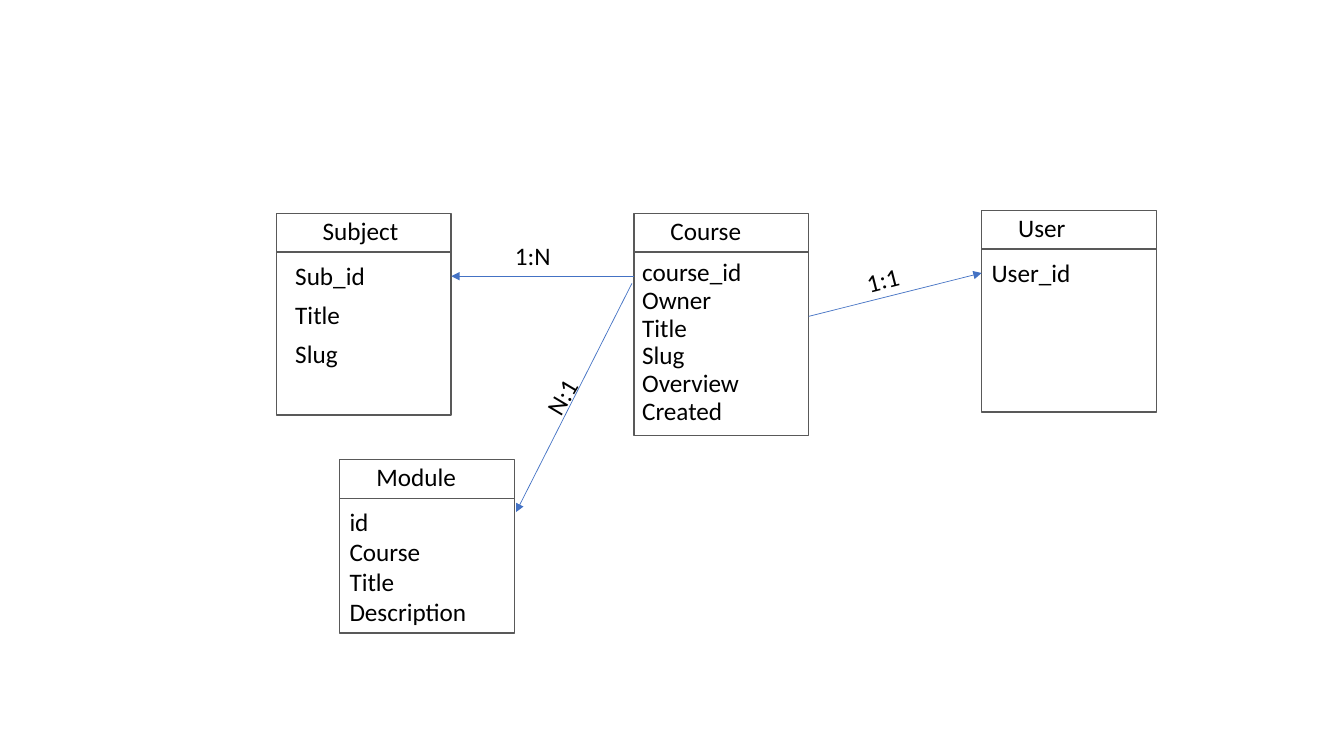
from dataclasses import dataclass

from lxml import etree
from pptx import Presentation
from pptx.dml.color import RGBColor
from pptx.enum import shapes, text
from pptx.oxml import ns
from pptx.slide import Slide
from pptx.util import Pt

BLACK = RGBColor(0x00, 0x00, 0x00)
WHITE = RGBColor(0xFF, 0xFF, 0xFF)
GREY = RGBColor(0x59, 0x59, 0x59)
BLUE = RGBColor(0x44, 0x72, 0xC4)

ENTITY_WIDTH = 124.8
HEADER_HEIGHT = 27.5
TITLE_RISE = 2.3
LABEL_WIDTH = 118.1
LABEL_HEIGHT = 29.1


@dataclass(frozen=True)
class Entity:
    """A titled box; field positions are relative to its top left corner."""
    title: str
    left: float
    top: float
    height: float
    title_indent: float
    field_indent: float
    first_field: float
    field_pitch: float
    fields: tuple[str, ...]


@dataclass(frozen=True)
class Relation:
    start: tuple[float, float]
    end: tuple[float, float]
    label: str
    label_left: float
    label_top: float
    rotation: float = 0


ENTITIES = (
    Entity("Subject", 197.4, 152.6, 144, 26, 6.4, 30, 27.8,
           ("Sub_id", "Title", "Slug")),
    Entity("Course", 452.8, 152.6, 158.4, 19, -1.2, 27, 19.8,
           ("course_id", "Owner", "Title", "Slug", "Overview", "Created")),
    Entity("User", 701.2, 150.3, 144, 19, 0, 29.7, 0, ("User_id",)),
    Entity("Module", 242.6, 328.4, 123.8, 19.2, 0, 30, 21.4,
           ("id", "Course", "Title", "Description")),
)

RELATIONS = (
    Relation((452.8, 197.3), (322.4, 197.3), "1:N", 360.7, 167.8),
    Relation((577.6, 226), (701.2, 195), "1:1", 610.6, 175, 345.5),
    Relation((451.4, 202.4), (368.6, 365.8), "N:1", 362.2, 235.4, 300.7),
)


def add_label(slide: Slide, words: str, left: float, top: float,
              rotation: float = 0) -> None:
    box = slide.shapes.add_textbox(Pt(left), Pt(top), Pt(LABEL_WIDTH), Pt(LABEL_HEIGHT))
    box.rotation = rotation
    frame = box.text_frame
    frame.word_wrap = True
    frame.auto_size = text.MSO_AUTO_SIZE.SHAPE_TO_FIT_TEXT
    span = frame.paragraphs[0].add_run()
    span.text = words
    span.font.name = "Calibri"
    span.font.size = Pt(18)
    span.font.color.rgb = BLACK


def add_line(slide: Slide, start: tuple[float, float], end: tuple[float, float],
             color: RGBColor, width: float, arrow: bool = False) -> None:
    line = slide.shapes.add_connector(
        shapes.MSO_CONNECTOR.STRAIGHT, *(Pt(value) for value in start + end))
    line.line.color.rgb = color
    line.line.width = Pt(width)
    properties = line.element.spPr
    if arrow:
        outline = properties.find(ns.qn("a:ln"))
        etree.SubElement(outline, ns.qn("a:tailEnd"), type="triangle")
    etree.SubElement(properties, ns.qn("a:effectLst"))


def add_entity(slide: Slide, entity: Entity) -> None:
    frame = slide.shapes.add_shape(
        shapes.MSO_SHAPE.RECTANGLE, Pt(entity.left), Pt(entity.top),
        Pt(ENTITY_WIDTH), Pt(entity.height))
    frame.shadow.inherit = False
    frame.fill.solid()
    frame.fill.fore_color.rgb = WHITE
    frame.line.color.rgb = GREY
    frame.line.width = Pt(1)

    divider = entity.top + HEADER_HEIGHT
    add_line(slide, (entity.left, divider), (entity.left + ENTITY_WIDTH, divider), GREY, 1)
    add_label(slide, entity.title, entity.left + entity.title_indent,
              entity.top - TITLE_RISE)
    for row, field in enumerate(entity.fields):
        add_label(slide, field, entity.left + entity.field_indent,
                  entity.top + entity.first_field + row * entity.field_pitch)


def add_relation(slide: Slide, relation: Relation) -> None:
    add_line(slide, relation.start, relation.end, BLUE, 0.5, arrow=True)
    add_label(slide, relation.label, relation.label_left, relation.label_top,
              relation.rotation)


def main() -> None:
    deck = Presentation()
    deck.slide_width = Pt(960)
    deck.slide_height = Pt(540)
    page = deck.slides.add_slide(deck.slide_layouts[6])
    for entity in ENTITIES:
        add_entity(page, entity)
    for relation in RELATIONS:
        add_relation(page, relation)
    deck.save("out.pptx")


if __name__ == "__main__":
    main()
